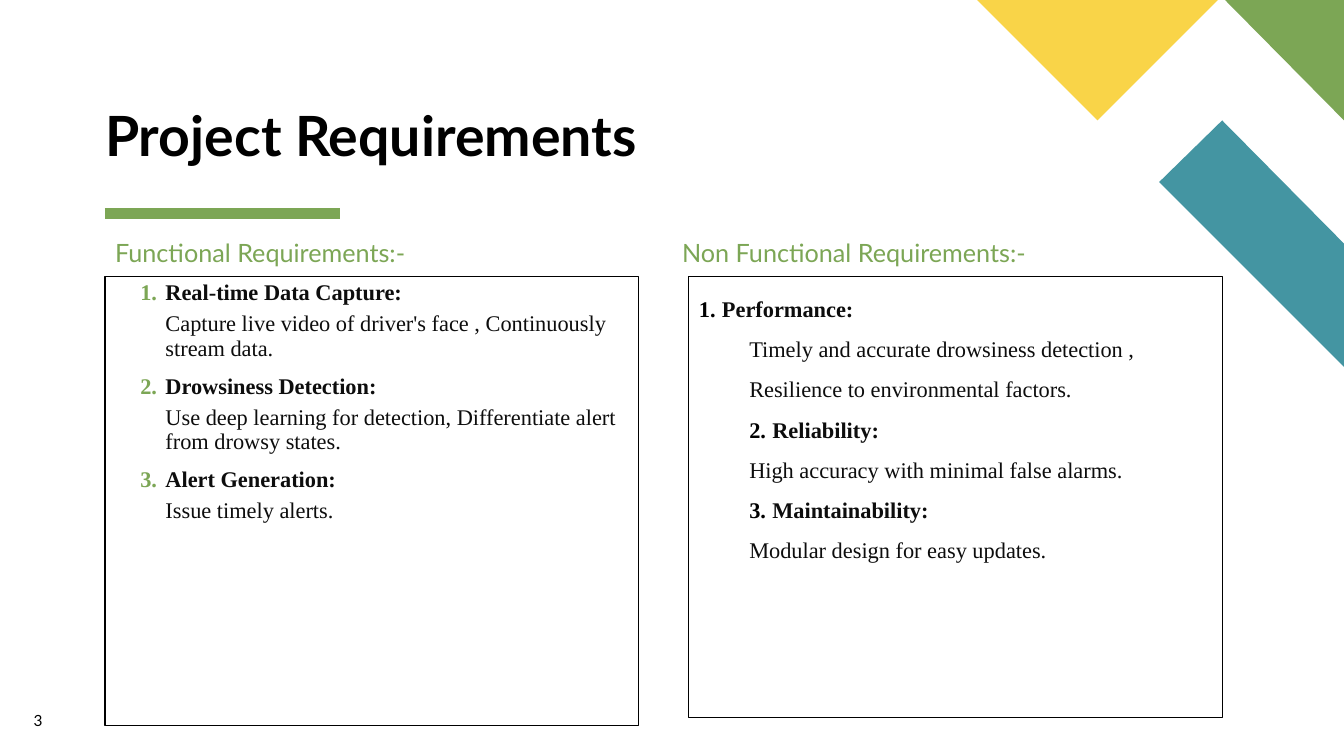
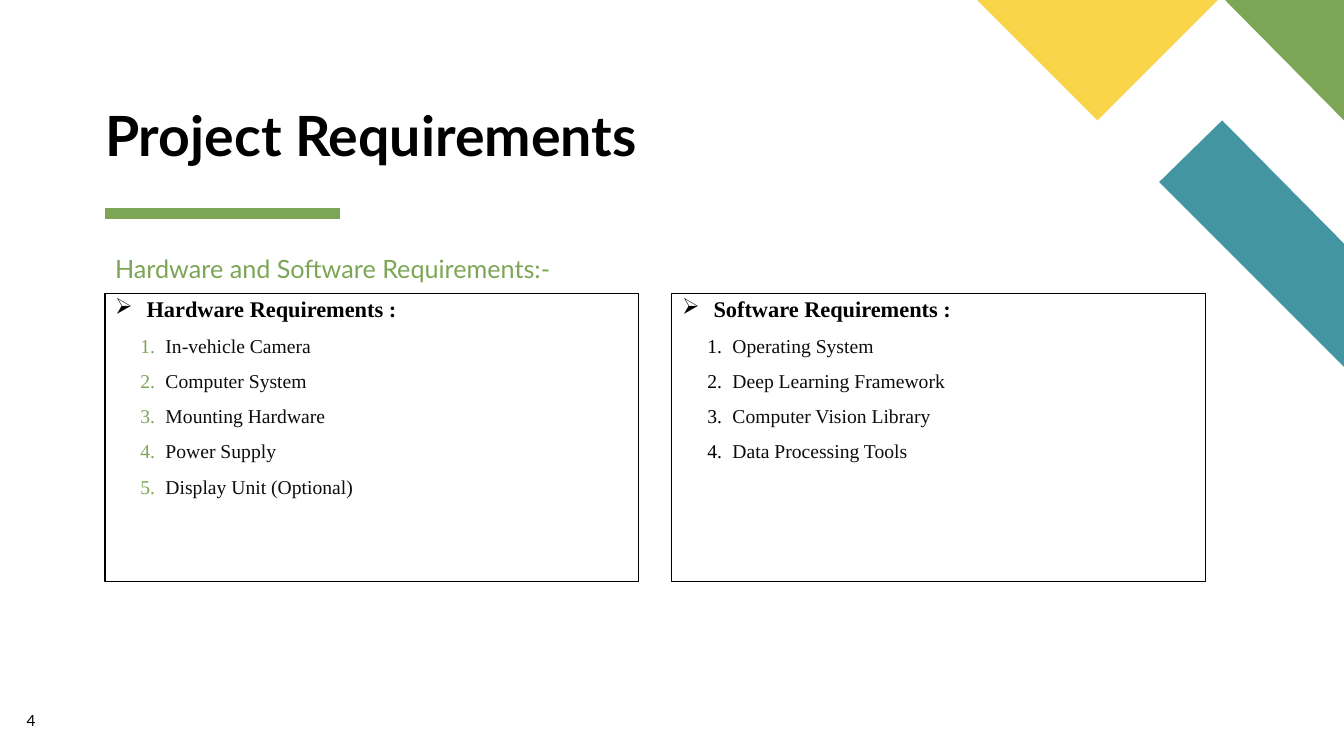
from lxml.etree import SubElement as Sub
from pptx import Presentation
from pptx.dml.color import RGBColor as RGB
from pptx.enum.shapes import MSO_CONNECTOR as Link
from pptx.enum.text import MSO_ANCHOR as Anchor, MSO_AUTO_SIZE as Fit, PP_ALIGN as Align
from pptx.oxml.ns import qn
from pptx.util import Pt

BLACK = RGB(0x00, 0x00, 0x00)
INK = RGB(0x0D, 0x0D, 0x0D)
GREEN = RGB(0x7C, 0xA6, 0x55)
TEAL = RGB(0x44, 0x95, 0xA2)
GOLD = RGB(0xF9, 0xD4, 0x48)
SANS = "Lato"
SERIF = "Times New Roman"

BANDS = [
    (TEAL, [(960, 262), (960, 174), (873, 86), (828, 130)]),
    (GREEN, [(960, 86), (960, 0), (875, 0)]),
    (GOLD, [(698, 0), (784, 86), (870, 0)]),
]

# size, bold, colour, level, left, hang, before, spacing, mark
STYLES = {
    "topic": (16, True, INK, 0, 36, 18, 10, 0.9, "number"),
    "note": (16, False, INK, 1, 36, 0, 5, 0.9, None),
    "lead": (16, True, INK, 0, 16.5, 16.5, 0, 1.5, "number"),
    "point": (16, True, INK, 0, 52.5, 16.5, 0, 1.5, "number"),
    "detail": (16, False, INK, 1, 36, 0, 0, 1.5, None),
    "group": (16, True, BLACK, 0, 22.5, 22.5, 0, 0.9, "arrow"),
    "item": (14, False, INK, 0, 36, 18, 10, 0.9, "number"),
}

PAGES = [
    ("3", 24, 168, ["Functional Requirements:-", "Non Functional Requirements:-"], [
        (75, 321, GREEN, [
            ("topic", "Real-time Data Capture:"),
            ("note", "Capture live video of driver's face , Continuously stream data."),
            ("topic", "Drowsiness Detection:"),
            ("note", "Use deep learning for detection, Differentiate alert from drowsy states."),
            ("topic", "Alert Generation:"),
            ("note", "Issue timely alerts."),
        ]),
        (492, 315, BLACK, [
            ("lead", "Performance:"),
            ("detail", "Timely and accurate drowsiness detection , Resilience to environmental factors."),
            ("point", "Reliability:"),
            ("detail", "High accuracy with minimal false alarms."),
            ("point", "Maintainability:"),
            ("detail", "Modular design for easy updates."),
        ]),
    ]),
    ("4", 19, 180, ["Hardware and Software Requirements:-", None], [
        (75, 206, GREEN, [
            ("group", "Hardware Requirements :"),
            ("item", "In-vehicle Camera"),
            ("item", "Computer System"),
            ("item", "Mounting Hardware"),
            ("item", "Power Supply"),
            ("item", "Display Unit (Optional)"),
        ]),
        (480, 206, BLACK, [
            ("group", "Software Requirements :"),
            ("item", "Operating System"),
            ("item", "Deep Learning Framework"),
            ("item", "Computer Vision Library"),
            ("item", "Data Processing Tools"),
        ]),
    ]),
]


def place(shape, left, top, width, height, inset=(7.2, 3.6), anchor=Anchor.TOP):
    shape.left, shape.top = Pt(left), Pt(top)
    shape.width, shape.height = Pt(width), Pt(height)
    frame = shape.text_frame
    frame.word_wrap = True
    frame.auto_size = Fit.NONE
    frame.vertical_anchor = anchor
    frame.margin_left = frame.margin_right = Pt(inset[0])
    frame.margin_top = frame.margin_bottom = Pt(inset[1])
    return frame


def write(para, text, font, size, bold, tint, level=0, left=0, hang=0,
          before=0, space=0.9, mark=None, dot=BLACK):
    para.level = level
    para.alignment = Align.LEFT
    para.line_spacing = space
    para.space_before = Pt(before)
    para.space_after = Pt(0)
    run = para.add_run()
    run.text = text
    run.font.name = font
    run.font.size = Pt(size)
    run.font.bold = bold
    run.font.color.rgb = tint
    props = para._p.get_or_add_pPr()
    props.set("marL", str(Pt(left)))
    props.set("indent", str(-Pt(hang)))
    if mark is None:
        Sub(props, qn("a:buNone"))
        return
    color = Sub(props, qn("a:buClr"))
    Sub(color, qn("a:srgbClr"), val=str(dot if mark == "number" else BLACK))
    if mark == "number":
        Sub(props, qn("a:buFont"), typeface="+mj-lt")
        Sub(props, qn("a:buAutoNum"), type="arabicPeriod")
    else:
        Sub(props, qn("a:buFont"), typeface="Wingdings", charset="2")
        Sub(props, qn("a:buChar"), char="Ø")


deck = Presentation()
deck.slide_width, deck.slide_height = Pt(960), Pt(540)
layout = deck.slide_layouts.get_by_name("Comparison")
slides = [deck.slides.add_slide(layout) for page in PAGES]

shapes = slides[0].shapes
rule = shapes.add_connector(Link.STRAIGHT, Pt(75), Pt(152.6), Pt(243), Pt(152.6))
rule.line.color.rgb = GREEN
rule.line.width = Pt(8)
Sub(rule._element.spPr, qn("a:effectLst"))
decor = [rule]
for tint, spots in BANDS:
    pen = shapes.build_freeform(*spots[0], scale=Pt(1))
    pen.add_line_segments(spots[1:], close=True)
    band = pen.convert_to_shape()
    band.shadow.inherit = False
    band.fill.solid()
    band.fill.fore_color.rgb = tint
    band.line.fill.background()
    decor.append(band)
for part in decor:
    layout.shapes.element.append(part._element)

for slide, (number, edge, top, heads, boxes) in zip(slides, PAGES):
    title, *slots = slide.placeholders
    frame = place(title, 75, 86.5, 455, 34, (0, 0), Anchor.BOTTOM)
    write(frame.paragraphs[0], "Project Requirements", SANS, 39.6, True, BLACK)

    for slot, left, head in zip(slots[::2], (75, 480), heads):
        if head is None:
            slot._element.getparent().remove(slot._element)
            continue
        frame = place(slot, left, top, 381, 25)
        write(frame.paragraphs[0], head, SANS, 18, False, GREEN)

    for slot, (left, height, dot, rows) in zip(slots[1::2], boxes):
        frame = place(slot, left, top + 29.4, 381, height)
        slot.line.color.rgb = BLACK
        slot.line.width = Pt(0.75)
        for index, (style, text) in enumerate(rows):
            para = frame.add_paragraph() if index else frame.paragraphs[0]
            write(para, text, SERIF, *STYLES[style], dot)

    label = slide.shapes.add_textbox(0, 0, 0, 0)
    frame = place(label, edge, 508, 41, 20, (0, 0))
    write(frame.paragraphs[0], number, SANS, 11, False, BLACK, space=1.0)

deck.save("out.pptx")
